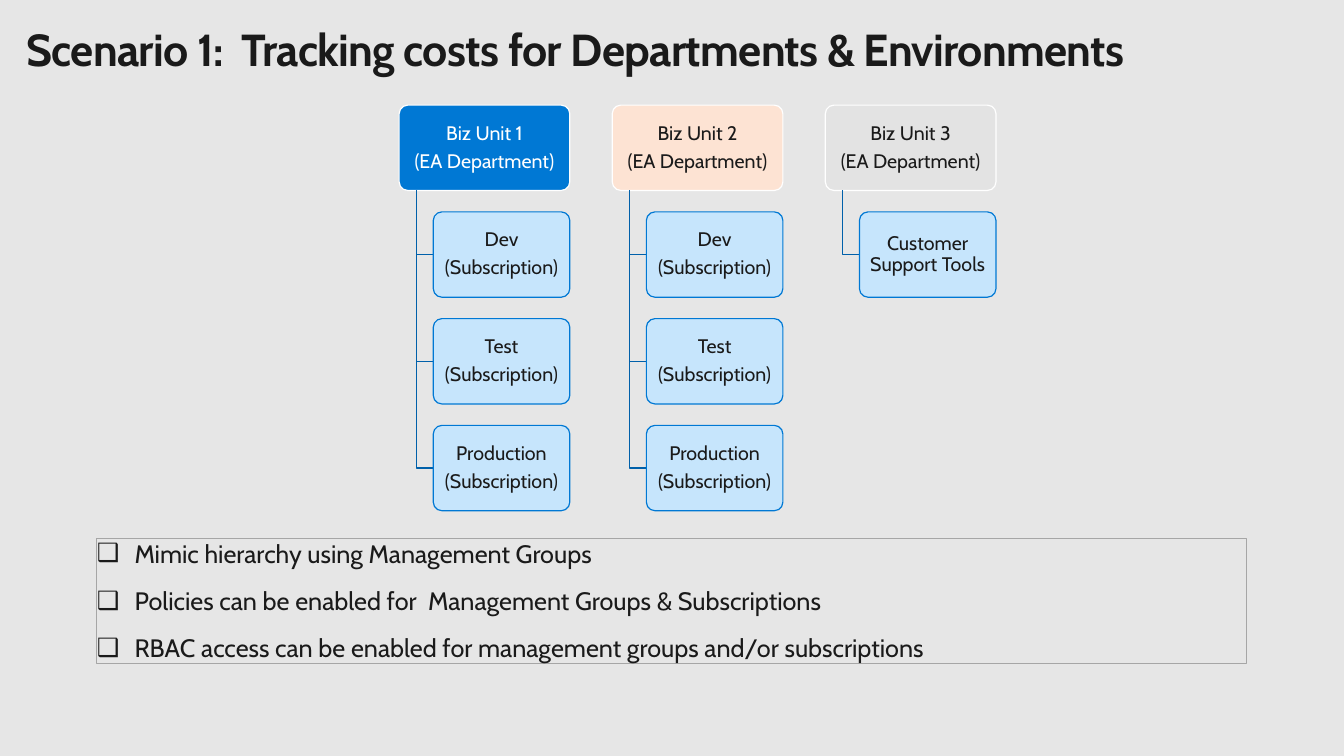
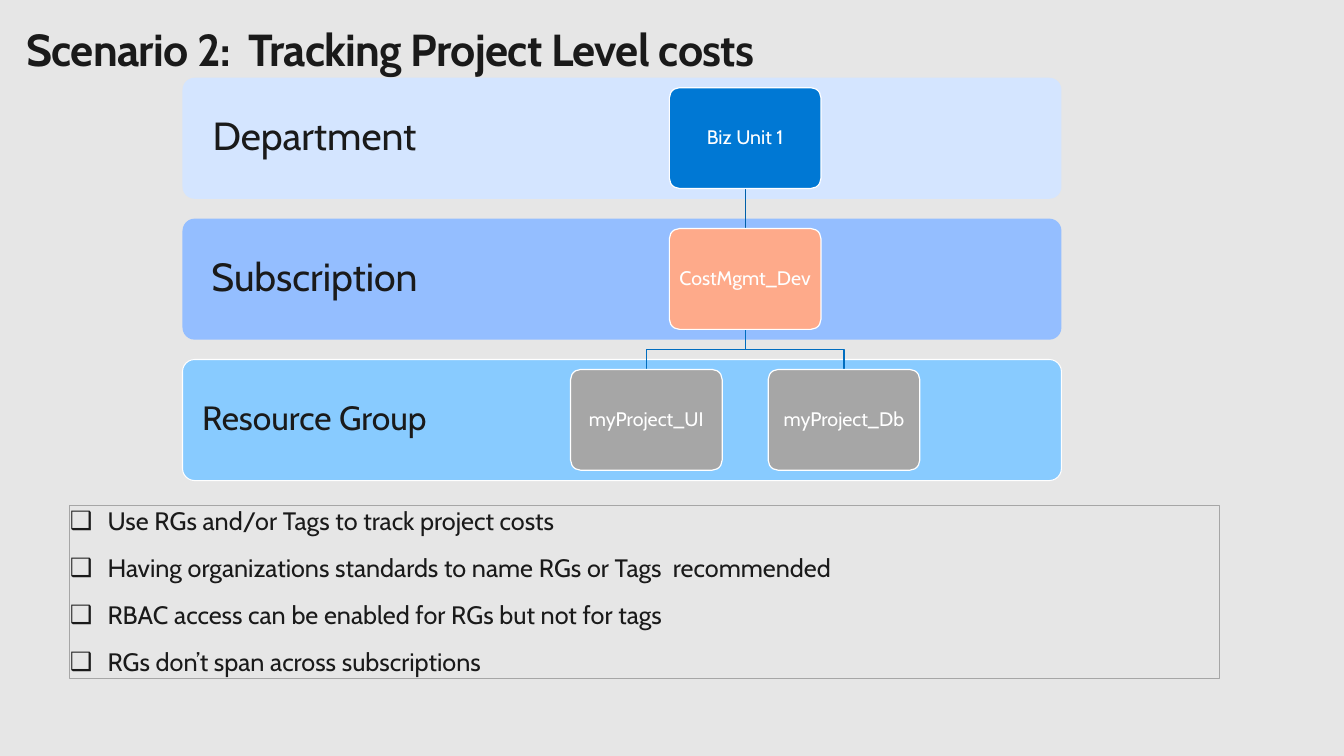
"""Build two slides on tracking costs by department and by project."""
import dataclasses

import pptx
import pptx.dml.color
import pptx.enum.shapes
import pptx.enum.text
import pptx.oxml.xmlchemy
import pptx.util

Cm = pptx.util.Cm
Pt = pptx.util.Pt
Align = pptx.enum.text.PP_ALIGN
Anchor = pptx.enum.text.MSO_ANCHOR
Element = pptx.oxml.xmlchemy.OxmlElement


@dataclasses.dataclass(frozen=True)
class Theme:
    """Colours, font and type sizes of the deck."""
    font: str = "Cabin"
    back: str = "E6E6E6"
    ink: str = "1A1A1A"
    white: str = "FFFFFF"
    blue: str = "0078D4"
    pale: str = "C3E5FF"
    peach: str = "FDE3D3"
    coral: str = "FEAA8A"
    light: str = "E3E3E3"
    grey: str = "A6A6A6"
    link: str = "0060AA"
    fork: str = "006DC0"
    bands: tuple = ("D4E5FF", "94BEFF", "88CBFF")
    title: int = 32
    large: int = 28
    medium: int = 24
    body: int = 18
    node: int = 14
    thin: float = 0.75
    wire: float = 0.85


THEME = Theme()


def paint(fill, color):
    """Give a fill one solid colour."""
    fill.solid()
    fill.fore_color.rgb = pptx.dml.color.RGBColor.from_string(color)


def stroke(line, color, width):
    """Set the colour and width of a line."""
    paint(line.fill, color)
    line.width = Pt(width)


def style(part, size, color=THEME.ink, bold=False):
    """Format every run of a paragraph."""
    for run in part.runs:
        run.font.name = THEME.font
        run.font.size = Pt(size)
        run.font.bold = bold
        run.font.color.rgb = pptx.dml.color.RGBColor.from_string(color)


def place(shape, left, top, width, height):
    """Move and size a shape, in centimetres."""
    shape.left, shape.top = Cm(left), Cm(top)
    shape.width, shape.height = Cm(width), Cm(height)


def inset(frame, left, right, edge=0):
    """Set the margins of a text frame, in centimetres."""
    frame.margin_left, frame.margin_right = Cm(left), Cm(right)
    frame.margin_top = frame.margin_bottom = Cm(edge)


def add_slide(deck, text):
    """Add a slide with its title."""
    slide = deck.slides.add_slide(deck.slide_layouts[1])
    title = slide.shapes.title
    place(title, 0.41, 0.41, 33.32, 1.55)
    frame = title.text_frame
    frame.text = text
    frame.auto_size = pptx.enum.text.MSO_AUTO_SIZE.NONE
    frame.vertical_anchor = Anchor.TOP
    part = frame.paragraphs[0]
    part.alignment = Align.LEFT
    style(part, THEME.title, bold=True)
    part.runs[0].font._element.set("spc", "-50")
    return slide


def add_list(slide, items, left, top, height):
    """Fill the body placeholder with a framed checklist."""
    body = slide.placeholders[1]
    place(body, left, top, 28.98, height)
    stroke(body.line, THEME.grey, THEME.thin)
    frame = body.text_frame
    frame.text = "\n".join(items)
    frame.auto_size = pptx.enum.text.MSO_AUTO_SIZE.NONE
    frame.vertical_anchor = Anchor.TOP
    inset(frame, 0, 0)
    for row, part in enumerate(frame.paragraphs):
        props = part._p.get_or_add_pPr()
        props.set("marL", str(Cm(0.95)))
        props.set("indent", str(-Cm(0.95)))
        mark = Element("a:buChar")
        mark.set("char", "❑")
        props.append(mark)
        part.space_before = Pt(12 if row else 0)
        part.space_after = Pt(0)
        style(part, THEME.body)


def add_box(slide, area, text, fill, size, color=THEME.ink, edge=None,
            width=THEME.wire, sides=(0.1, 0.1)):
    """Add a rounded box with centred text."""
    kind = pptx.enum.shapes.MSO_SHAPE.ROUNDED_RECTANGLE
    box = slide.shapes.add_shape(kind, *map(Cm, area))
    box.adjustments[0] = 0.1
    box.shadow.inherit = False
    paint(box.fill, fill)
    if edge:
        stroke(box.line, edge, width)
    else:
        box.line.fill.background()
    frame = box.text_frame
    frame.text = text
    frame.word_wrap = True
    frame.vertical_anchor = Anchor.MIDDLE
    inset(frame, *sides)
    for row, part in enumerate(frame.paragraphs):
        part.alignment = Align.CENTER
        part.line_spacing = 0.9
        part.space_before = Pt(0.35 * size if row else 0)
        style(part, size, color)
    return box


def fade(shape, share):
    """Set the opacity of a solid fill, in percent."""
    alpha = Element("a:alpha")
    alpha.set("val", str(share * 1000))
    shape.fill._xPr.solidFill[0].append(alpha)


def add_bend(slide, points, color):
    """Draw an open line through several points."""
    start, *rest = [(Cm(x), Cm(y)) for x, y in points]
    pen = slide.shapes.build_freeform(*start)
    pen.add_line_segments(rest, close=False)
    bend = pen.convert_to_shape()
    bend.shadow.inherit = False
    bend.fill.background()
    stroke(bend.line, color, THEME.wire)


def add_wire(slide, start, end, color):
    """Draw a straight connector between two points."""
    kind = pptx.enum.shapes.MSO_CONNECTOR.STRAIGHT
    wire = slide.shapes.add_connector(kind, *map(Cm, start + end))
    stroke(wire.line, color, THEME.wire)
    wire._element.spPr.append(Element("a:effectLst"))


def add_unit(slide, left, name, fill, color, teams):
    """Draw a business unit with its subscriptions hung below."""
    top, width, height, pitch, shift = 2.65, 4.3, 2.15, 2.69, 0.86
    trunk = left + shift / 2
    add_box(slide, (left, top, width, height), name + "\n(EA Department)",
            fill, THEME.node, color, THEME.white)
    for row, team in enumerate(teams, 1):
        level = top + row * pitch
        middle = level + height / 2
        add_bend(slide, [(trunk, top + height), (trunk, middle),
                         (left + shift, middle)], THEME.link)
        box = add_box(slide, (left + shift, level, width - shift, height),
                      team, THEME.pale, THEME.node, edge=THEME.blue)
        fade(box, 90)


def add_units(deck):
    """Build the slide on departments and environments."""
    slide = add_slide(
        deck, "Scenario 1:  Tracking costs for Departments & Environments")
    stages = [name + "\n(Subscription)"
              for name in ("Dev", "Test", "Production")]
    units = [("Biz Unit 1", THEME.blue, THEME.white, stages),
             ("Biz Unit 2", THEME.peach, THEME.ink, stages),
             ("Biz Unit 3", THEME.light, THEME.ink,
              ["Customer Support Tools"])]
    for col, unit in enumerate(units):
        add_unit(slide, 10.06 + col * 5.37, *unit)
    add_list(slide, [
        "Mimic hierarchy using Management Groups",
        "Policies can be enabled for  Management Groups & Subscriptions",
        "RBAC access can be enabled for management groups and/or subscriptions",
    ], 2.44, 13.56, 3.17)


def add_project(deck):
    """Build the slide on project level costs."""
    slide = add_slide(deck, "Scenario 2:  Tracking Project Level costs")
    left, top, width, height, pitch, label = 4.6, 1.96, 22.15, 3.05, 3.55, 6.65
    bands = [("Department", THEME.large, None),
             ("Subscription", THEME.large, None),
             ("Resource Group", THEME.medium, THEME.white)]
    for row, (name, size, edge) in enumerate(bands):
        add_box(slide, (left, top + row * pitch, width, height), name,
                THEME.bands[row], size, edge=edge, width=THEME.thin,
                sides=(0.25, width - label + 0.25))

    mid, side, wide, tall = 18.78, 2.49, 3.82, 2.54
    tops = [top + 0.25 + row * pitch for row in range(3)]
    add_wire(slide, (mid, tops[0] + tall), (mid, tops[1]), THEME.link)
    base = tops[1] + tall
    turn = (base + tops[2]) / 2
    for end in (mid - side, mid + side):
        add_bend(slide, [(mid, base), (mid, turn), (end, turn),
                         (end, tops[2])], THEME.fork)
    nodes = [("Biz Unit 1", mid, 0, THEME.blue),
             ("CostMgmt_Dev", mid, 1, THEME.coral),
             ("myProject_UI", mid - side, 2, THEME.grey),
             ("myProject_Db", mid + side, 2, THEME.grey)]
    for name, centre, row, fill in nodes:
        add_box(slide, (centre - wide / 2, tops[row], wide, tall), name,
                fill, THEME.node, THEME.white, THEME.white)
    add_list(slide, [
        "Use RGs and/or Tags to track project costs",
        "Having organizations standards to name RGs or Tags  recommended",
        "RBAC access can be enabled for RGs but not for tags",
        "RGs don’t span across subscriptions",
    ], 1.76, 12.73, 4.37)


def main():
    """Build the deck and save it."""
    deck = pptx.Presentation()
    deck.slide_width, deck.slide_height = Cm(33.87), Cm(19.05)
    paint(deck.slide_master.background.fill, THEME.back)
    add_units(deck)
    add_project(deck)
    deck.save("out.pptx")


if __name__ == "__main__":
    main()
